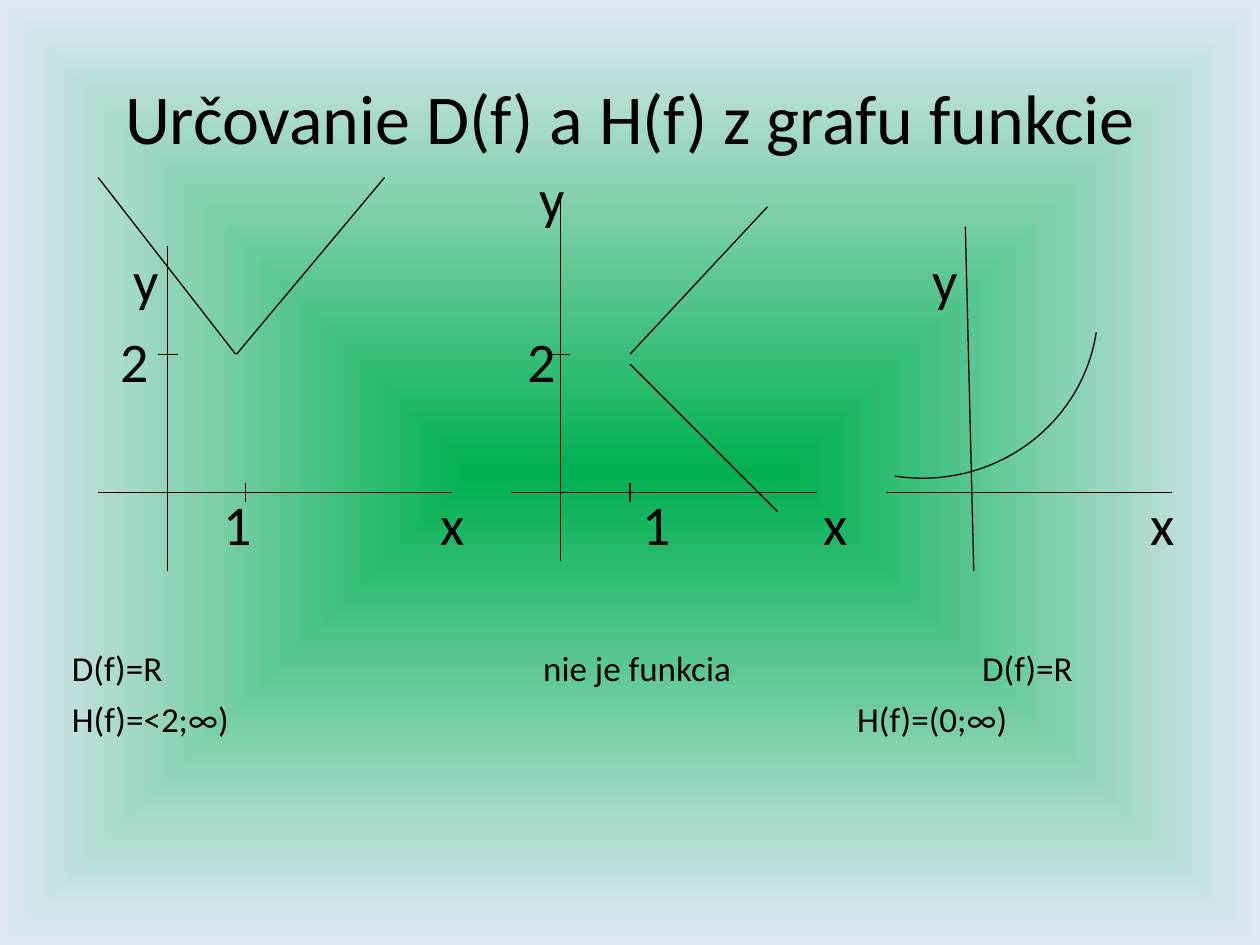
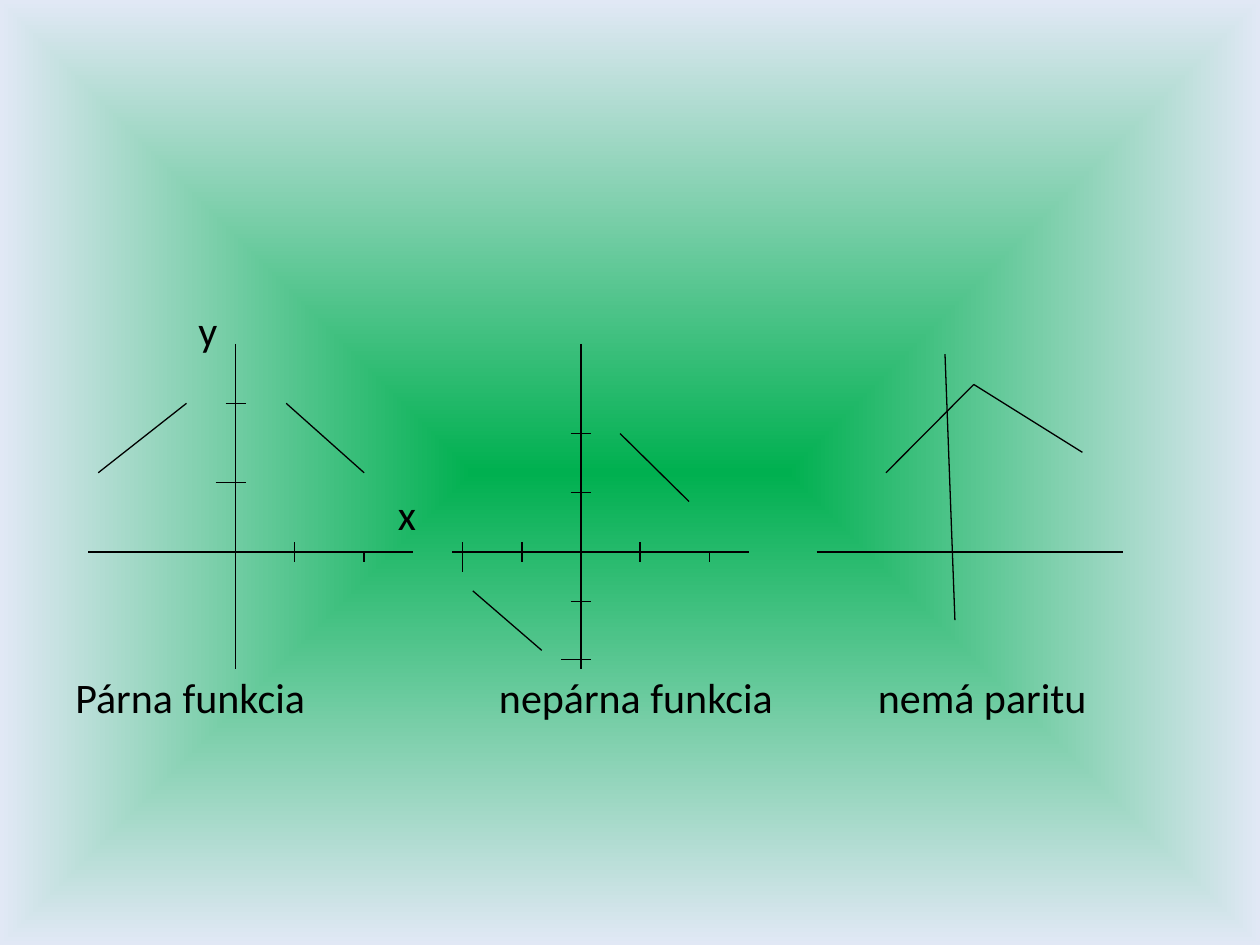
from lxml import etree
from pptx import Presentation
from pptx.dml.color import RGBColor
from pptx.enum.shapes import MSO_CONNECTOR, MSO_SHAPE
from pptx.enum.text import MSO_ANCHOR, PP_ALIGN
from pptx.oxml.ns import qn
from pptx.util import Cm, Pt

STRAIGHT = MSO_CONNECTOR.STRAIGHT
ARC = MSO_SHAPE.ARC
MIDDLE = MSO_ANCHOR.MIDDLE
LEFT, CENTER = PP_ALIGN.LEFT, PP_ALIGN.CENTER

COLORS = {"ink": "000000", "core": "00B050", "edge": "E1E8F5"}
FONT = "Calibri"
TITLE_ONLY, BLANK = 5, 6
TICK = 0.2  # half a tick mark, in cm


def color(name):
    return RGBColor.from_string(COLORS[name])


def paint(master):
    """Give every slide a rectangular gradient, green in the middle."""
    fill = master.background.fill
    fill.gradient()
    for stop, name in zip(fill.gradient_stops, ("core", "edge")):
        stop.color.rgb = color(name)
    lin = master.element.find(".//" + qn("p:bg") + "//" + qn("a:lin"))
    grad = lin.getparent()
    grad.remove(lin)
    shade = etree.SubElement(grad, qn("a:path"), path="rect")
    sides = dict.fromkeys("ltrb", "50000")
    etree.SubElement(shade, qn("a:fillToRect"), **sides)


def write(frame, text, size=32, align=LEFT):
    frame.word_wrap = True
    para = frame.paragraphs[0]
    para.alignment = align
    run = para.add_run()
    run.text = text
    run.font.name = FONT
    run.font.size = Pt(size)
    run.font.color.rgb = color("ink")


def label(slide, text, x, y, width=1.2, **style):
    box = slide.shapes.add_textbox(Cm(x), Cm(y), Cm(width), Cm(1.2))
    frame = box.text_frame
    frame.margin_left = frame.margin_right = 0
    frame.margin_top = frame.margin_bottom = 0
    write(frame, text, **style)


def head(slide, text):
    title = slide.shapes.title
    title.left, title.top = Cm(1.27), Cm(0.76)
    title.width, title.height = Cm(22.86), Cm(3.18)
    title.text_frame.vertical_anchor = MIDDLE
    write(title.text_frame, text, size=40, align=CENTER)


def pen(shape):
    shape.line.color.rgb = color("ink")
    shape.line.width = Pt(0.75)


def line(slide, x1, y1, x2, y2):
    link = slide.shapes.add_connector(STRAIGHT, Cm(x1), Cm(y1), Cm(x2), Cm(y2))
    pen(link)
    etree.SubElement(link.element.spPr, qn("a:effectLst"))


def curve(slide, x, y, width, height, turn):
    arc = slide.shapes.add_shape(ARC, Cm(x), Cm(y), Cm(width), Cm(height))
    arc.rotation = turn
    arc.shadow.inherit = False
    arc.fill.background()
    pen(arc)


def graph(slide, floor, span, rise, xticks=(), yticks=(), plot=()):
    """Draw axes, ticks as (place, before, after) and the plotted lines."""
    line(slide, span[0], floor, span[1], floor)
    line(slide, *rise)
    for x, above, below in xticks:
        line(slide, x, floor - above, x, floor + below)
    for y, before, after in yticks:
        line(slide, rise[0] - before, y, rise[0] + after, y)
    for part in plot:
        line(slide, *part)


def even(*places):
    return [(place, TICK, TICK) for place in places]


def domains(prs):
    slide = prs.slides.add_slide(prs.slide_layouts[TITLE_ONLY])
    head(slide, "Určovanie D(f) a H(f) z grafu funkcie")

    first, pitch = 3.3, 1.64
    rows = [
        (0, [("y", 10.88)]),
        (1, [("y", 2.7), ("y", 18.79)]),
        (2, [("2", 2.44), ("2", 10.64)]),
        (4, [("1", 4.5), ("x", 8.89), ("1", 12.96), ("x", 16.6), ("x", 23.2)]),
    ]
    for row, marks in rows:
        for text, x in marks:
            label(slide, text, x, first + row * pitch)

    notes = [
        ("D(f)=R", 1.45, 13.04), ("H(f)=<2;∞)", 1.45, 14.07),
        ("nie je funkcia", 10.95, 13.04),
        ("D(f)=R", 19.8, 13.04), ("H(f)=(0;∞)", 17.28, 14.07),
    ]
    for text, x, y in notes:
        label(slide, text, x, y, width=5, size=20)

    floor = 9.93
    graph(slide, floor, (1.98, 9.12), (3.38, 4.95, 3.38, 11.51),
          even(4.95), even(7.14),
          [(1.98, 3.58, 4.75, 7.14), (4.77, 7.14, 7.75, 3.58)])
    graph(slide, floor, (10.31, 16.46), (11.3, 3.96, 11.3, 11.3),
          even(12.7), even(7.14),
          [(12.7, 7.14, 15.47, 4.17), (12.7, 7.34, 15.67, 10.31)])
    graph(slide, floor, (17.86, 23.62), (19.46, 4.57, 19.63, 11.51))
    curve(slide, 15.09, 2.59, 6.96, 7.14, 98.7)


def parity(prs):
    slide = prs.slides.add_slide(prs.slide_layouts[BLANK])
    label(slide, "y", 4, 6.13, size=24)
    label(slide, "x", 8.02, 9.84, size=24)
    names = [("Párna funkcia", 1.52), ("nepárna funkcia", 10.06),
             ("nemá paritu", 17.7)]
    for text, x in names:
        label(slide, text, x, 13.53, width=6.5, size=24)

    floor = 11.13
    graph(slide, floor, (1.78, 8.33), (4.75, 6.93, 4.75, 13.49),
          even(5.94) + [(7.34, 0, TICK)],
          even(8.13) + [(9.73, 2 * TICK, TICK)],
          [(5.77, 8.13, 7.34, 9.53), (3.76, 8.13, 1.98, 9.53)])
    graph(slide, floor, (9.12, 15.09), (11.71, 6.93, 11.71, 13.49),
          even(10.52, 12.9) + [(9.32, TICK, 2 * TICK), (14.3, 0, TICK)],
          even(8.74, 9.93, 12.12) + [(13.29, 2 * TICK, TICK)],
          [(9.53, 11.91, 10.92, 13.11), (12.5, 8.74, 13.89, 10.11)])
    graph(slide, floor, (16.46, 22.63), (19.05, 7.14, 19.25, 12.5),
          plot=[(17.86, 9.53, 19.63, 7.75), (19.63, 7.75, 21.82, 9.12)])


def main():
    prs = Presentation()
    prs.slide_width, prs.slide_height = Cm(25.4), Cm(19.05)
    paint(prs.slide_master)
    domains(prs)
    parity(prs)
    prs.save("out.pptx")


if __name__ == "__main__":
    main()
